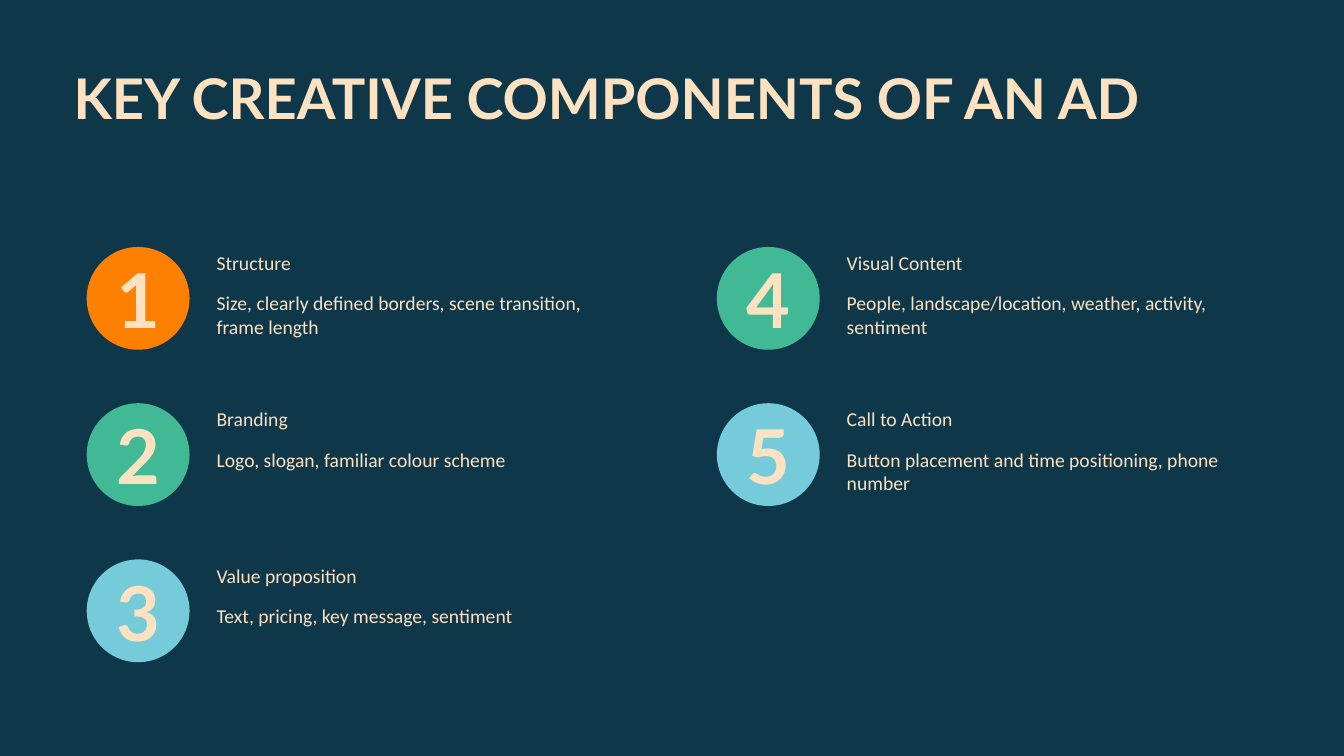
from dataclasses import dataclass
from pptx import Presentation
from pptx.dml.color import RGBColor as Rgb
from pptx.enum.shapes import MSO_SHAPE as Shape
from pptx.enum.text import MSO_ANCHOR as Anchor, PP_ALIGN as Align
from pptx.util import Inches, Pt


@dataclass(frozen=True)
class Theme:
    navy: str = "0F374A"
    cream: str = "FDE2C1"
    orange: str = "FF7F00"
    green: str = "41B994"
    blue: str = "75CBD9"
    head: str = "Lato"
    body: str = "Calibri"
    title: int = 40
    number: int = 54
    text: int = 14


def write(frame, lines, size, font, color, bold=False, align=Align.LEFT,
          anchor=Anchor.TOP, inset=0, gap=0, spacing=None):
    """Fill a frame with one paragraph per line; inset is left and top."""
    frame.word_wrap = True
    frame.vertical_anchor = anchor
    frame.margin_left = frame.margin_top = Inches(inset)
    frame.margin_right = frame.margin_bottom = 0
    for i, line in enumerate(lines):
        para = frame.add_paragraph() if i else frame.paragraphs[0]
        para.alignment = align
        para.line_spacing = spacing
        if i:
            para.space_before = Pt(gap)
        run = para.add_run()
        run.text = line
        run.font.size = Pt(size)
        run.font.name = font
        run.font.bold = bold
        run.font.color.rgb = Rgb.from_string(color)


class Deck:
    def __init__(self, theme):
        self.theme = theme
        self.file = Presentation()
        self.file.slide_width = Inches(13.33)
        self.file.slide_height = Inches(7.5)
        self.slide = self.file.slides.add_slide(self.file.slide_layouts[6])
        fill = self.slide.background.fill
        fill.solid()
        fill.fore_color.rgb = Rgb.from_string(theme.navy)

    def shape(self, kind, x, y, w, h, color):
        item = self.slide.shapes.add_shape(
            kind, Inches(x), Inches(y), Inches(w), Inches(h))
        item.shadow.inherit = False
        item.fill.solid()
        item.fill.fore_color.rgb = Rgb.from_string(color)
        item.line.fill.background()
        return item.text_frame

    def title(self, text):
        t = self.theme
        box = self.slide.shapes.add_textbox(
            Inches(0.73), Inches(0.73), Inches(11.87), Inches(1.18))
        write(box.text_frame, [text], t.title, t.head, t.cream,
              bold=True, spacing=0.85)

    def badge(self, number, x, y, color):
        t = self.theme
        frame = self.shape(Shape.OVAL, x, y, 1.02, 1.02, color)
        write(frame, [str(number)], t.number, t.head, t.cream, bold=True,
              align=Align.CENTER, anchor=Anchor.MIDDLE)

    def card(self, lines, x, y):
        t = self.theme
        frame = self.shape(Shape.RECTANGLE, x, y, 4.17, 1.15, t.navy)
        write(frame, lines, t.text, t.body, t.cream, inset=0.1, gap=12)


def main():
    theme = Theme()
    deck = Deck(theme)
    deck.title("KEY CREATIVE COMPONENTS OF AN AD")
    parts = [
        ("Structure", "Size, clearly defined borders, scene transition, "
         "frame length", theme.orange),
        ("Branding", "Logo, slogan, familiar colour scheme", theme.green),
        ("Value proposition", "Text, pricing, key message, sentiment",
         theme.blue),
        ("Visual Content", "People, landscape/location, weather, activity, "
         "sentiment", theme.green),
        ("Call to Action", "Button placement and time positioning, phone "
         "number", theme.blue),
    ]
    rows = 3
    for i, (name, detail, color) in enumerate(parts):
        col, row = divmod(i, rows)
        x, y = 0.86 + 6.25 * col, 2.45 + 1.55 * row
        deck.card([name, detail], x + 1.19, y - 0.06)
        deck.badge(i + 1, x, y, color)
    deck.file.save("out.pptx")


if __name__ == "__main__":
    main()
